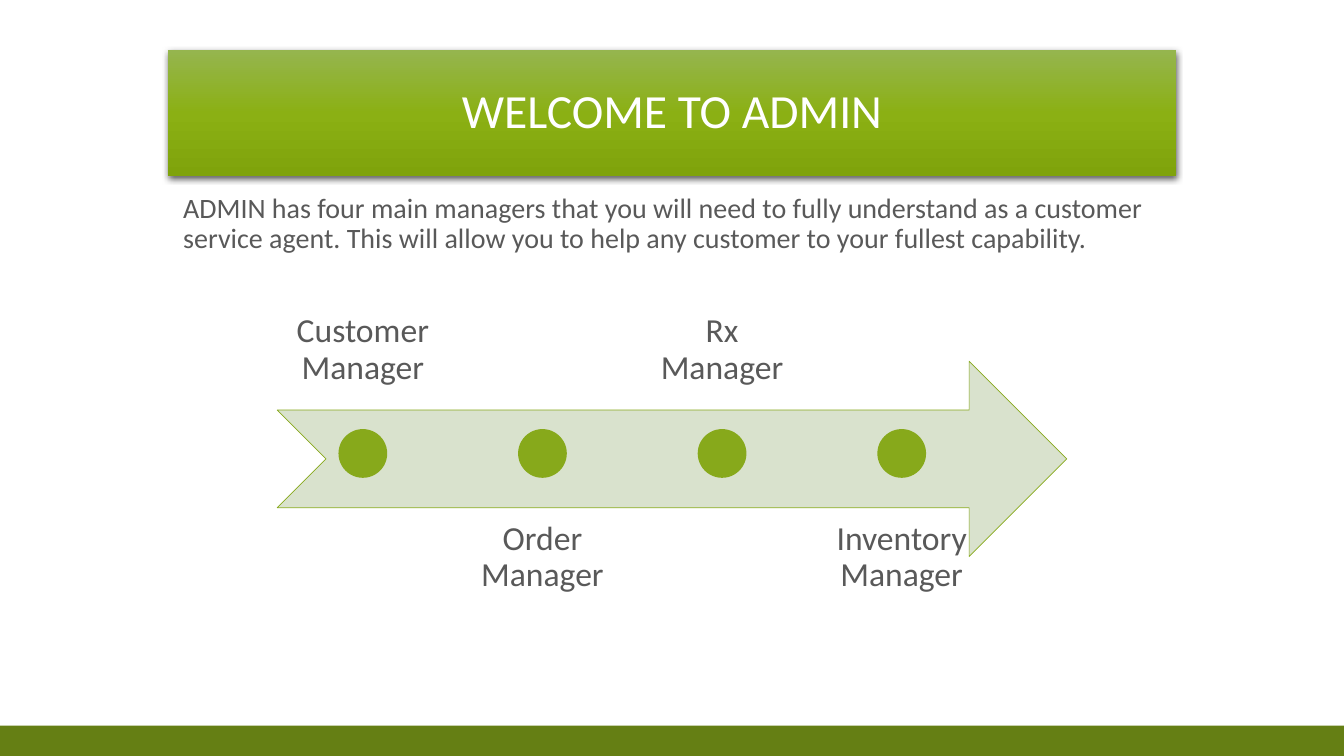
from lxml.etree import fromstring
from pptx import Presentation
from pptx.dml.color import RGBColor
from pptx.enum.shapes import MSO_SHAPE as SHAPE
from pptx.enum.text import MSO_ANCHOR as ANCHOR, MSO_AUTO_SIZE as AUTO_SIZE, PP_ALIGN as ALIGN
from pptx.util import Pt

# Content
TITLE = "WELCOME TO ADMIN"
INTRO = ("ADMIN has four main managers that you will need to fully understand as a "
         "customer service agent. This will allow you to help any customer to your "
         "fullest capability.")
MANAGERS = ["Customer Manager", "Order Manager", "Rx Manager", "Inventory Manager"]

# Style
FONT = "Calibri"
WHITE, GREY = "FFFFFF", "595959"
GREEN, DARK_GREEN, PALE_GREEN = "87A91B", "657F14", "D9E2CD"
TITLE_GRADIENT = [(0, "95B54E"), (50, "8BB014"), (100, "7FA30B")]
DRAWING_NS = 'xmlns:a="http://schemas.openxmlformats.org/drawingml/2006/main"'

# Layout, in points
WIDTH, HEIGHT = 960, 540
BAR_HEIGHT = 21.6
TITLE_BOX = (120, 36, 720, 90)
INTRO_BOX = (120, 135, 711, 73)
ARROW_LEFT, ARROW_TOP, ARROW_WIDTH, ARROW_HEIGHT = 198, 258, 564, 139.5
LABEL_WIDTH, STEP = 122.4, 128.3
LABEL_TOP_ABOVE, LABEL_TOP_BELOW = 150, 358.8
DOT_SIZE, DOT_TOP = 34.8, 306.5


def color(value):
    return RGBColor.from_string(value)


def set_text(shape, text, size=24, fill=GREY, align=ALIGN.LEFT,
             anchor=ANCHOR.TOP, insets=(7.2, 3.6, 7.2, 3.6)):
    frame = shape.text_frame
    frame.text = text
    frame.word_wrap = True
    frame.auto_size = AUTO_SIZE.NONE
    frame.vertical_anchor = anchor
    (frame.margin_left, frame.margin_top,
     frame.margin_right, frame.margin_bottom) = map(Pt, insets)
    paragraph = frame.paragraphs[0]
    paragraph.alignment = align
    paragraph.line_spacing = 0.9
    paragraph.space_before = Pt(0)
    font = paragraph.runs[0].font
    font.name, font.size = FONT, Pt(size)
    font.color.rgb = color(fill)


def add_text(slide, box, text, **style):
    shape = slide.shapes.add_textbox(*map(Pt, box))
    set_text(shape, text, **style)


def add_shape(slide, kind, box, fill, line=None):
    shape = slide.shapes.add_shape(kind, *map(Pt, box))
    shape.shadow.inherit = False
    shape.fill.solid()
    shape.fill.fore_color.rgb = color(fill)
    if line:
        shape.line.color.rgb = color(line)
        shape.line.width = Pt(0.5)
    else:
        shape.line.fill.background()
    return shape


def format_title(title):
    title.left, title.top, title.width, title.height = map(Pt, TITLE_BOX)
    set_text(title, TITLE, size=34, fill=WHITE, align=ALIGN.CENTER, anchor=ANCHOR.MIDDLE)
    stops = "".join(f'<a:gs pos="{place * 1000}"><a:srgbClr val="{value}"/></a:gs>'
                    for place, value in TITLE_GRADIENT)
    gradient = (f'<a:gradFill {DRAWING_NS} rotWithShape="1"><a:gsLst>{stops}</a:gsLst>'
                '<a:lin ang="5400000" scaled="0"/></a:gradFill>')
    shadow = (f'<a:effectLst {DRAWING_NS}><a:outerShdw blurRad="{Pt(4.5)}" '
              f'dist="{Pt(1.5)}" dir="5400000" algn="ctr" rotWithShape="0">'
              '<a:srgbClr val="000000"><a:alpha val="63000"/></a:srgbClr>'
              '</a:outerShdw></a:effectLst>')
    for markup in (gradient, shadow):
        title.element.spPr.append(fromstring(markup))


def main():
    presentation = Presentation()
    presentation.slide_width, presentation.slide_height = Pt(WIDTH), Pt(HEIGHT)
    slide = presentation.slides.add_slide(presentation.slide_layouts[5])

    # Footer bar, title and introduction
    add_shape(slide, SHAPE.RECTANGLE,
              (0, HEIGHT - BAR_HEIGHT, WIDTH, BAR_HEIGHT), DARK_GREEN)
    format_title(slide.shapes.title)
    add_text(slide, INTRO_BOX, INTRO, size=20, insets=(10.8, 3.6, 7.2, 3.6))

    # Timeline arrow
    add_shape(slide, SHAPE.NOTCHED_RIGHT_ARROW,
              (ARROW_LEFT, ARROW_TOP, ARROW_WIDTH, ARROW_HEIGHT), PALE_GREEN, line=GREEN)

    # Managers, alternately above and below the arrow
    for index, manager in enumerate(MANAGERS):
        left = ARROW_LEFT + index * STEP
        above = index % 2 == 0
        top = LABEL_TOP_ABOVE if above else LABEL_TOP_BELOW
        add_text(slide, (left, top, LABEL_WIDTH, ARROW_HEIGHT), manager,
                 align=ALIGN.CENTER, anchor=ANCHOR.BOTTOM if above else ANCHOR.TOP,
                 insets=(13.5,) * 4)
        dot_left = left + (LABEL_WIDTH - DOT_SIZE) / 2
        add_shape(slide, SHAPE.OVAL, (dot_left, DOT_TOP, DOT_SIZE, DOT_SIZE), GREEN)

    presentation.save("out.pptx")


if __name__ == "__main__":
    main()
